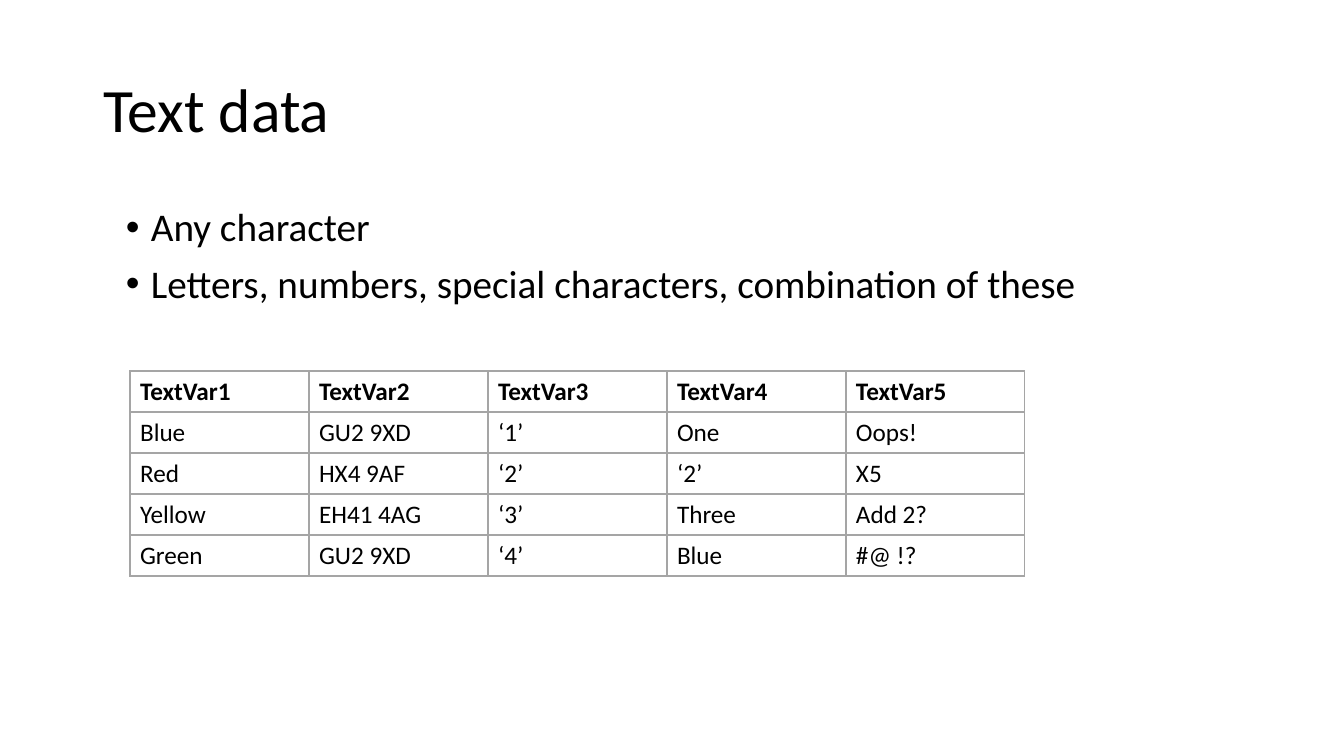
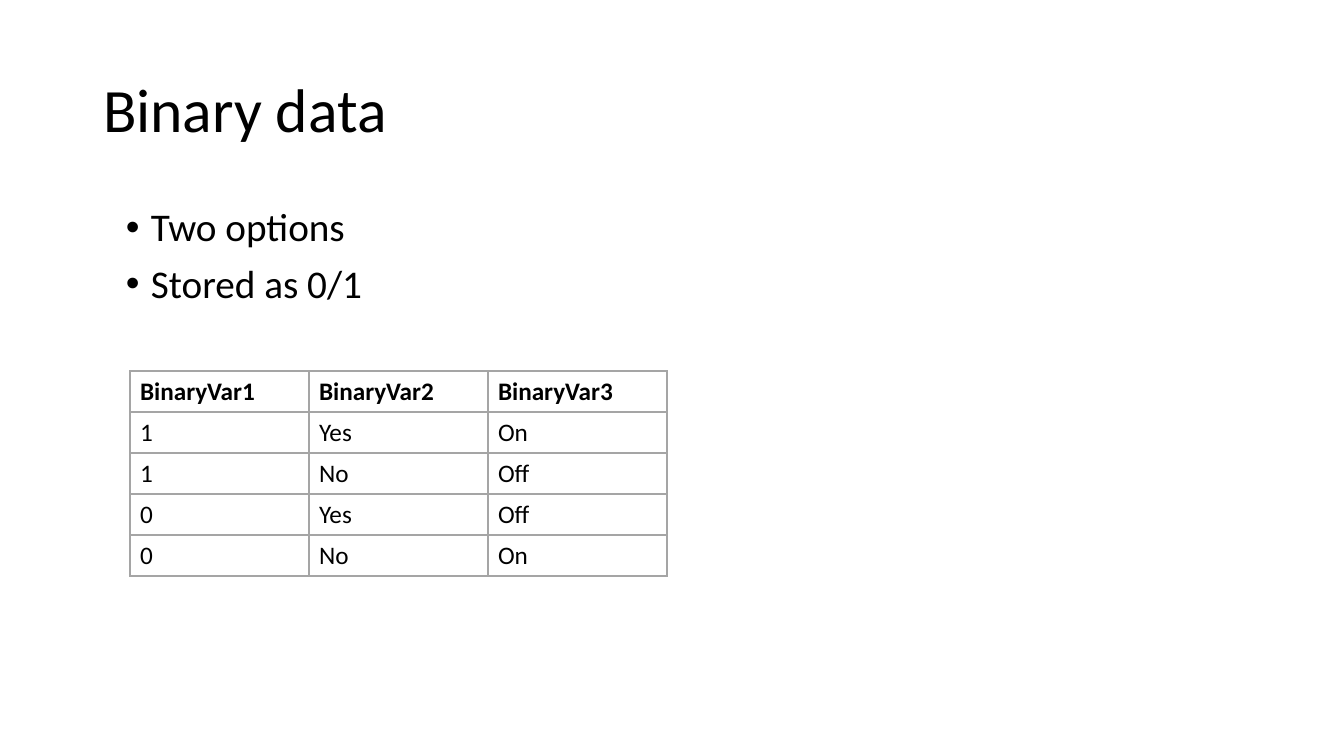
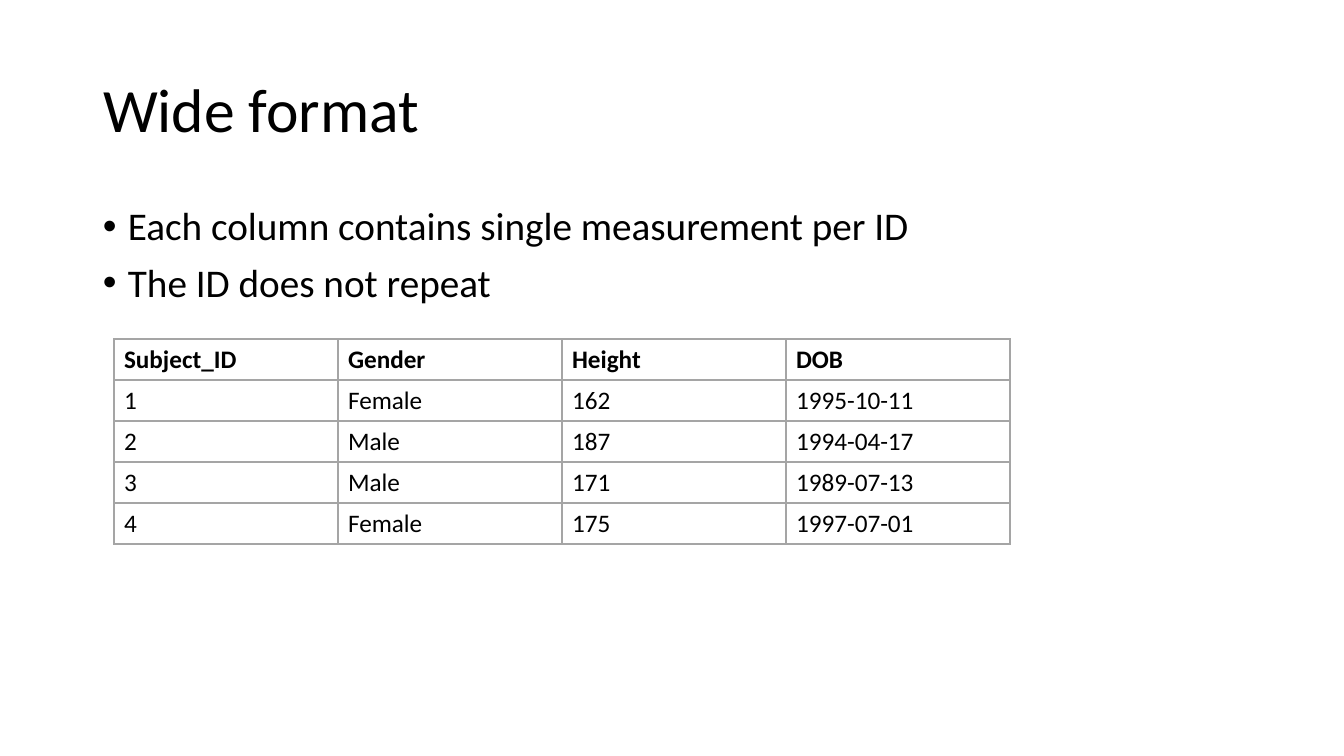
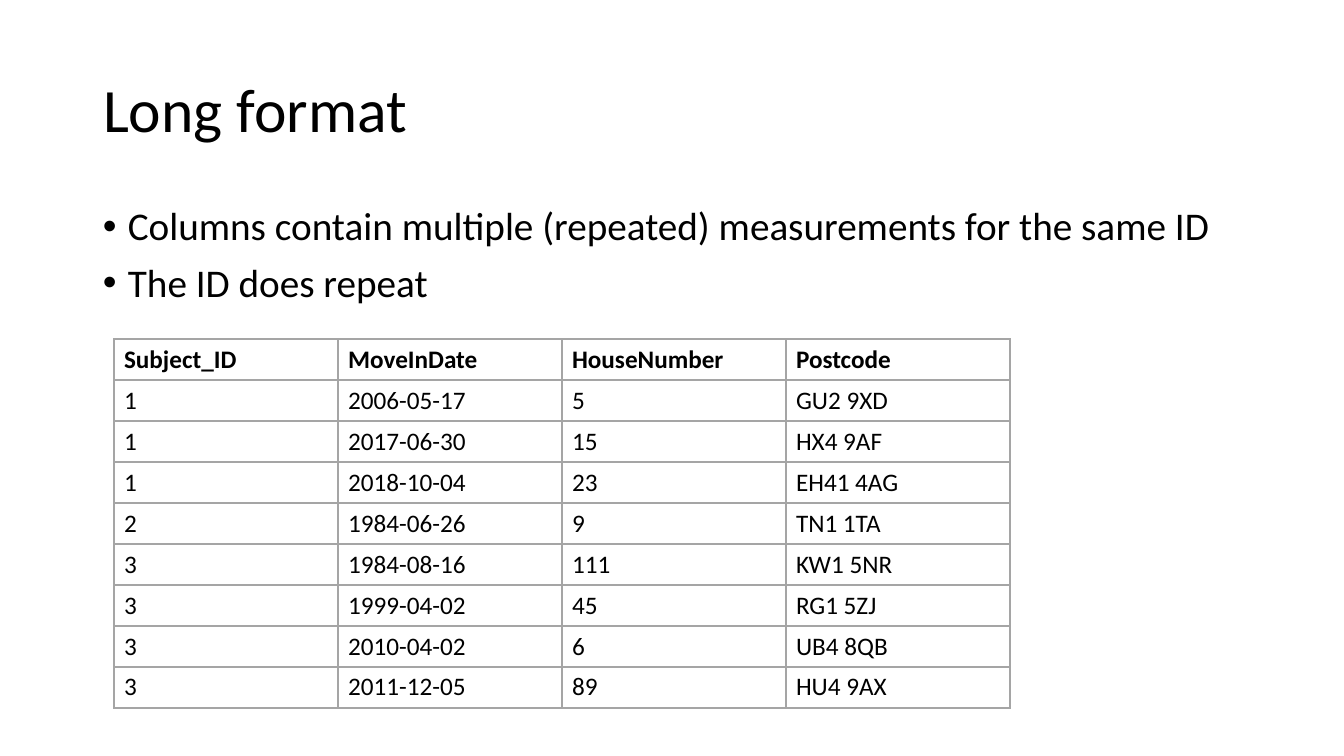
from dataclasses import dataclass

from lxml.etree import SubElement
from pptx import Presentation
from pptx.dml.color import RGBColor
from pptx.enum.text import MSO_ANCHOR, MSO_AUTO_SIZE, PP_ALIGN
from pptx.oxml.ns import qn
from pptx.util import Emu, Pt


@dataclass(frozen=True)
class Theme:
    font: str = "Calibri"
    text: RGBColor = RGBColor(0x00, 0x00, 0x00)
    paper: RGBColor = RGBColor(0xFF, 0xFF, 0xFF)
    border: str = "A5A5A5"
    title: int = 44
    body: int = 28
    cell: int = 18
    line_spacing: float = 0.9


theme = Theme()
PX = 914400 / 100.8  # EMU in one px


def px(*lengths):
    return [Emu(round(n * PX)) for n in lengths]


def style(p, size, bold=False):
    for r in p.runs:
        r.font.name = theme.font
        r.font.size = Pt(size)
        r.font.bold = bold
        r.font.color.rgb = theme.text


# Content: title, bullets, body position, table position, column width, rows
slides = [
    ("Text data",
     ["Any character", "Letters, numbers, special characters, combination of these"],
     (116, 203), (130, 371), 179,
     [["TextVar1", "TextVar2", "TextVar3", "TextVar4", "TextVar5"],
      ["Blue", "GU2 9XD", "‘1’", "One", "Oops!"],
      ["Red", "HX4 9AF", "‘2’", "‘2’", "X5"],
      ["Yellow", "EH41 4AG", "‘3’", "Three", "Add 2?"],
      ["Green", "GU2 9XD", "‘4’", "Blue", "#@ !?"]]),
    ("Binary data",
     ["Two options", "Stored as 0/1"],
     (116, 203), (130, 371), 179,
     [["BinaryVar1", "BinaryVar2", "BinaryVar3"],
      ["1", "Yes", "On"],
      ["1", "No", "Off"],
      ["0", "Yes", "Off"],
      ["0", "No", "On"]]),
    ("Wide format",
     ["Each column contains single measurement per ID", "The ID does not repeat"],
     (93, 202), (114, 339), 224,
     [["Subject_ID", "Gender", "Height", "DOB"],
      ["1", "Female", "162", "1995-10-11"],
      ["2", "Male", "187", "1994-04-17"],
      ["3", "Male", "171", "1989-07-13"],
      ["4", "Female", "175", "1997-07-01"]]),
    ("Long format",
     ["Columns contain multiple (repeated) measurements for the same ID",
      "The ID does repeat"],
     (93, 202), (114, 339), 224,
     [["Subject_ID", "MoveInDate", "HouseNumber", "Postcode"],
      ["1", "2006-05-17", "5", "GU2 9XD"],
      ["1", "2017-06-30", "15", "HX4 9AF"],
      ["1", "2018-10-04", "23", "EH41 4AG"],
      ["2", "1984-06-26", "9", "TN1 1TA"],
      ["3", "1984-08-16", "111", "KW1 5NR"],
      ["3", "1999-04-02", "45", "RG1 5ZJ"],
      ["3", "2010-04-02", "6", "UB4 8QB"],
      ["3", "2011-12-05", "89", "HU4 9AX"]]),
]

TITLE_BOX = (93, 40, 1159, 146)
BODY_SIZE = (1159, 480)
ROW_HEIGHT = 41
INDENT = 25

prs = Presentation()
prs.slide_width, prs.slide_height = px(1344, 756)

for title, bullets, body_at, table_at, col_width, rows in slides:
    s = prs.slides.add_slide(prs.slide_layouts[5])

    # Title
    sp = s.shapes.title
    sp.left, sp.top, sp.width, sp.height = px(*TITLE_BOX)
    tf = sp.text_frame
    tf.text = title
    tf.auto_size = MSO_AUTO_SIZE.NONE
    tf.vertical_anchor = MSO_ANCHOR.MIDDLE
    p = tf.paragraphs[0]
    p.alignment = PP_ALIGN.LEFT
    p.line_spacing = theme.line_spacing
    style(p, theme.title)

    # Bullets
    tf = s.shapes.add_textbox(*px(*body_at, *BODY_SIZE)).text_frame
    tf.word_wrap = True
    tf.text = "\n".join(bullets)
    for i, p in enumerate(tf.paragraphs):
        pPr = p._p.get_or_add_pPr()
        indent, = px(INDENT)
        pPr.set("marL", str(indent))
        pPr.set("indent", str(-indent))
        SubElement(pPr, qn("a:buFont"), typeface="Arial")
        SubElement(pPr, qn("a:buChar"), char="•")
        p.line_spacing = theme.line_spacing
        if i:
            p.space_before = Pt(10)
        style(p, theme.body)

    # Table
    n_rows, n_cols = len(rows), len(rows[0])
    size = (n_cols * col_width, n_rows * ROW_HEIGHT)
    table = s.shapes.add_table(n_rows, n_cols, *px(*table_at, *size)).table
    table.horz_banding = False
    for column in table.columns:
        column.width, = px(col_width)
    for i, row in enumerate(rows):
        table.rows[i].height, = px(ROW_HEIGHT)
        # The rule under the header is double weight
        widths = {"L": 1, "R": 1, "T": 2 if i == 1 else 1, "B": 2 if i == 0 else 1}
        for j, text in enumerate(row):
            cell = table.cell(i, j)
            cell.text_frame.text = text
            style(cell.text_frame.paragraphs[0], theme.cell, bold=i == 0)
            tcPr = cell._tc.get_or_add_tcPr()
            for side, width in widths.items():
                ln = SubElement(tcPr, qn(f"a:ln{side}"), w=str(Pt(width)))
                fill = SubElement(ln, qn("a:solidFill"))
                SubElement(fill, qn("a:srgbClr"), val=theme.border)
            cell.fill.solid()
            cell.fill.fore_color.rgb = theme.paper

prs.save("out.pptx")
